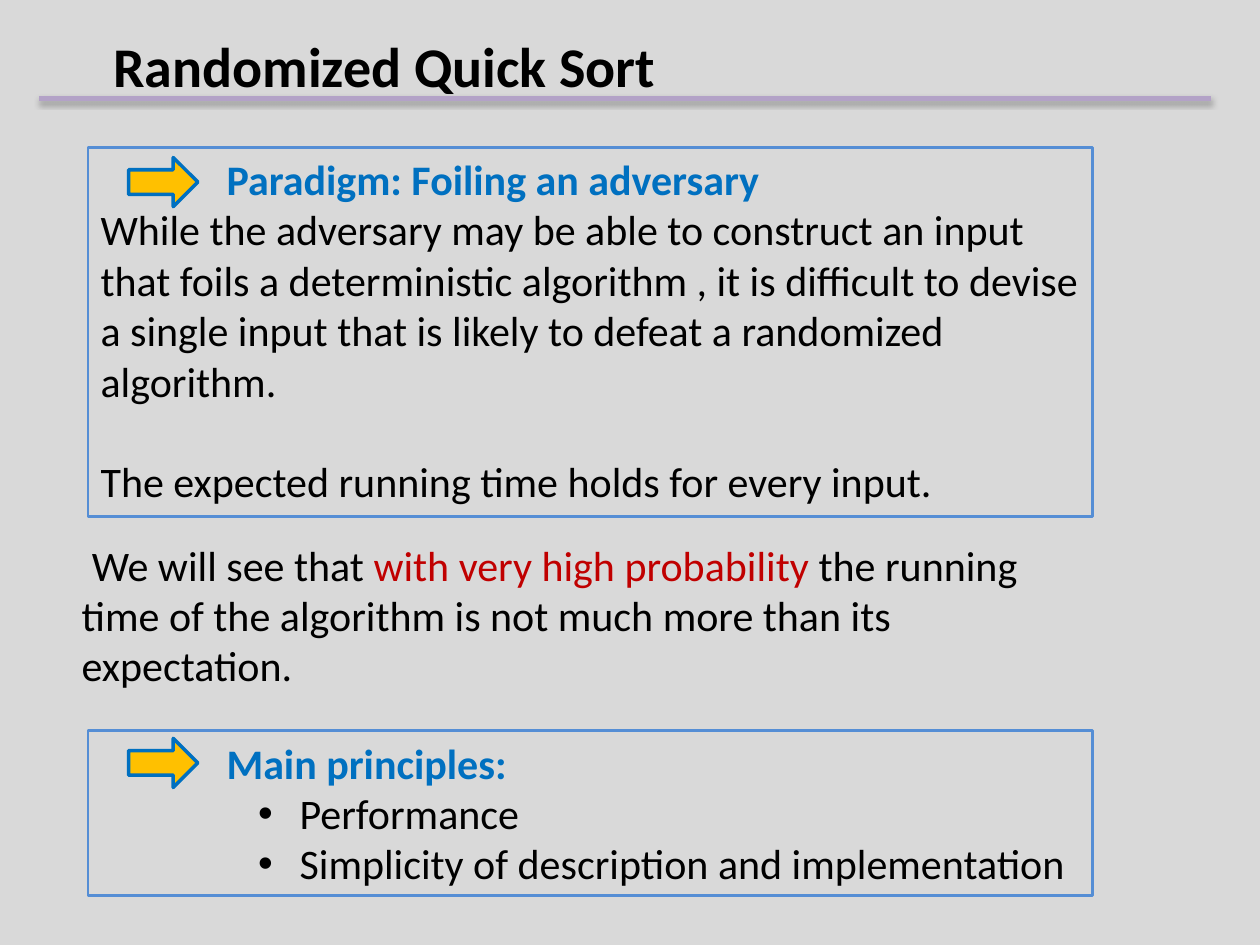
from dataclasses import dataclass

from lxml import etree
from pptx import Presentation
from pptx.dml.color import RGBColor
from pptx.enum.shapes import MSO_CONNECTOR as Connector, MSO_SHAPE as Shape
from pptx.enum.text import MSO_ANCHOR as Anchor, PP_ALIGN as Align
from pptx.oxml import parse_xml
from pptx.oxml.ns import nsdecls, qn
from pptx.util import Inches, Pt


@dataclass(frozen=True)
class Theme:
    font: str = "Calibri"
    title_size: int = 32
    body_size: int = 24
    background: str = "D9D9D9"
    text: str = "000000"
    heading: str = "0070C0"
    emphasis: str = "C00000"
    frame: str = "558ED5"
    arrow: str = "FFC000"
    rule: str = "B3A2C7"


theme = Theme()
color = RGBColor.from_string


def write(paragraph, text, size=theme.body_size, fill=theme.text, bold=False,
          left=0, first=0, before=0, bullet=None):
    """Add a formatted run and set the paragraph's indents and spacing."""
    run = paragraph.add_run()
    run.text = text
    run.font.name = theme.font
    run.font.size = Pt(size)
    run.font.bold = bold
    run.font.color.rgb = color(fill)
    paragraph.alignment = Align.LEFT
    paragraph.space_before = Pt(before)
    if left or first:
        properties = paragraph._p.get_or_add_pPr()
        properties.set("marL", str(Inches(left)))
        properties.set("indent", str(Inches(first)))
        if bullet:
            etree.SubElement(properties, qn("a:buFont")).set("typeface", "Arial")
            etree.SubElement(properties, qn("a:buChar")).set("char", bullet)


presentation = Presentation()
presentation.slide_width, presentation.slide_height = Inches(10), Inches(7.5)
slide = presentation.slides.add_slide(presentation.slide_layouts[5])
slide.background.fill.solid()
slide.background.fill.fore_color.rgb = color(theme.background)

# Title
title = slide.shapes.title
title.left, title.top = Inches(0.8), Inches(0.16)
title.width, title.height = Inches(8.5), Inches(0.72)
title.text_frame.vertical_anchor = Anchor.MIDDLE
write(title.text_frame.paragraphs[0], "Randomized Quick Sort",
      size=theme.title_size, bold=True)

# Rule under the title, with a soft shadow
rule = slide.shapes.add_connector(
    Connector.STRAIGHT, Inches(0.31), Inches(0.78), Inches(9.61), Inches(0.78))
rule.line.color.rgb = color(theme.rule)
rule.line.width = Pt(3)
rule._element.spPr.append(parse_xml(
    f'<a:effectLst {nsdecls("a")}>'
    f'<a:outerShdw blurRad="{Pt(3.1)}" dist="{Pt(1.8)}" dir="5400000" rotWithShape="0">'
    '<a:srgbClr val="000000"><a:alpha val="35000"/></a:srgbClr>'
    '</a:outerShdw></a:effectLst>'))

# Framed boxes: top, height, arrow top, heading, then paragraphs with their format
bullet_format = dict(left=1.58, first=-0.33, bullet="•")
boxes = [
    (1.17, 2.93, 1.25, "Paradigm: Foiling an adversary", [
        ("While the adversary may be able to construct an input that foils a "
         "deterministic algorithm , it is difficult to devise a single input "
         "that is likely to defeat a randomized algorithm.", {}),
        ("The expected running time holds for every input.", dict(before=28.8)),
    ]),
    (5.8, 1.31, 5.86, "Main principles:", [
        ("Performance", bullet_format),
        ("Simplicity of description and implementation", bullet_format),
    ]),
]
for top, height, arrow_top, heading, body in boxes:
    box = slide.shapes.add_shape(
        Shape.RECTANGLE, Inches(0.7), Inches(top), Inches(7.97), Inches(height))
    box.shadow.inherit = False
    box.fill.background()
    box.line.color.rgb = color(theme.frame)
    box.line.width = Pt(1.5)
    frame = box.text_frame
    frame.word_wrap = True
    frame.vertical_anchor = Anchor.TOP
    write(frame.paragraphs[0], heading, fill=theme.heading, bold=True, left=1)
    for text, text_format in body:
        write(frame.add_paragraph(), text, **text_format)

    arrow = slide.shapes.add_shape(
        Shape.RIGHT_ARROW, Inches(1.02), Inches(arrow_top), Inches(0.55), Inches(0.39))
    arrow.shadow.inherit = False
    arrow.fill.solid()
    arrow.fill.fore_color.rgb = color(theme.arrow)
    arrow.line.color.rgb = color(theme.heading)
    arrow.line.width = Pt(2)

# Statement between the boxes
statement = slide.shapes.add_textbox(
    Inches(0.55), Inches(4.23), Inches(8.28), Inches(1.31))
statement.text_frame.word_wrap = True
for text, fill in [
    ("We will see that ", theme.text),
    ("with very high probability ", theme.emphasis),
    ("the running time of the algorithm is not much more than its expectation.",
     theme.text),
]:
    write(statement.text_frame.paragraphs[0], text, fill=fill, first=0.08)

presentation.save("out.pptx")
